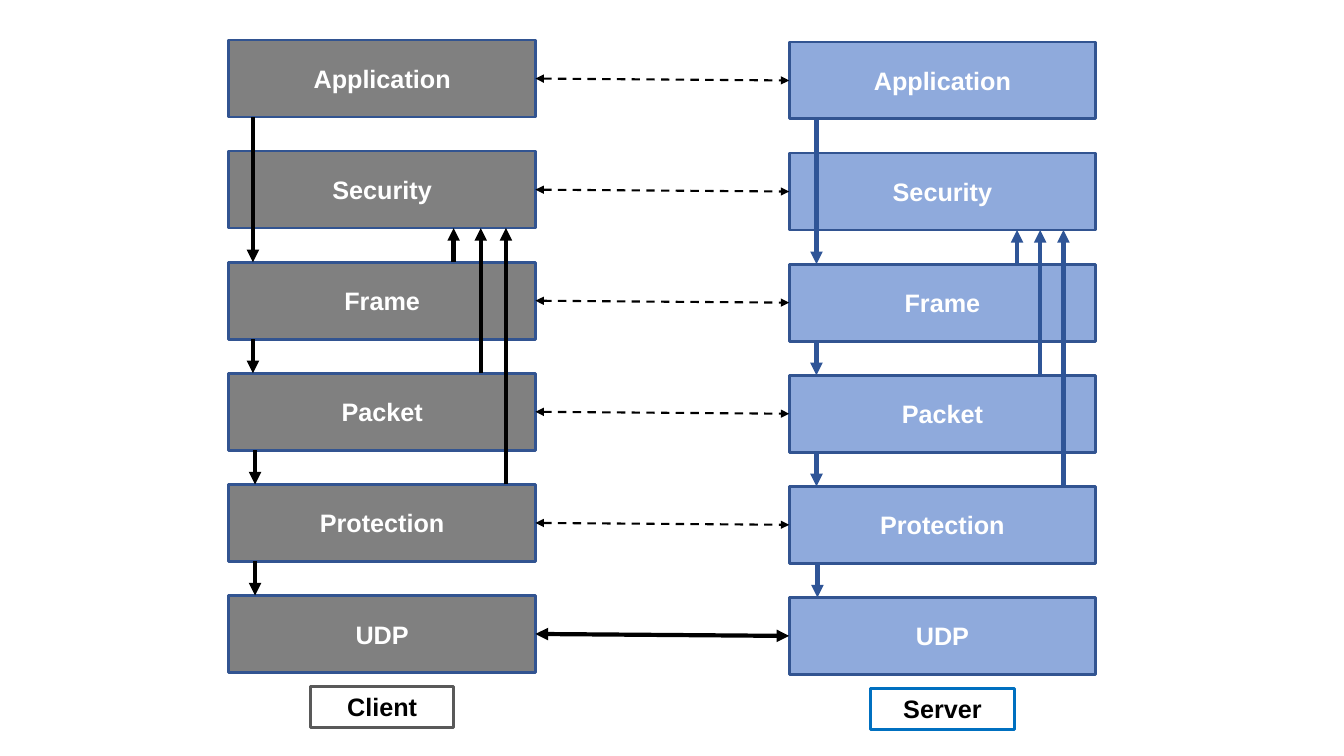
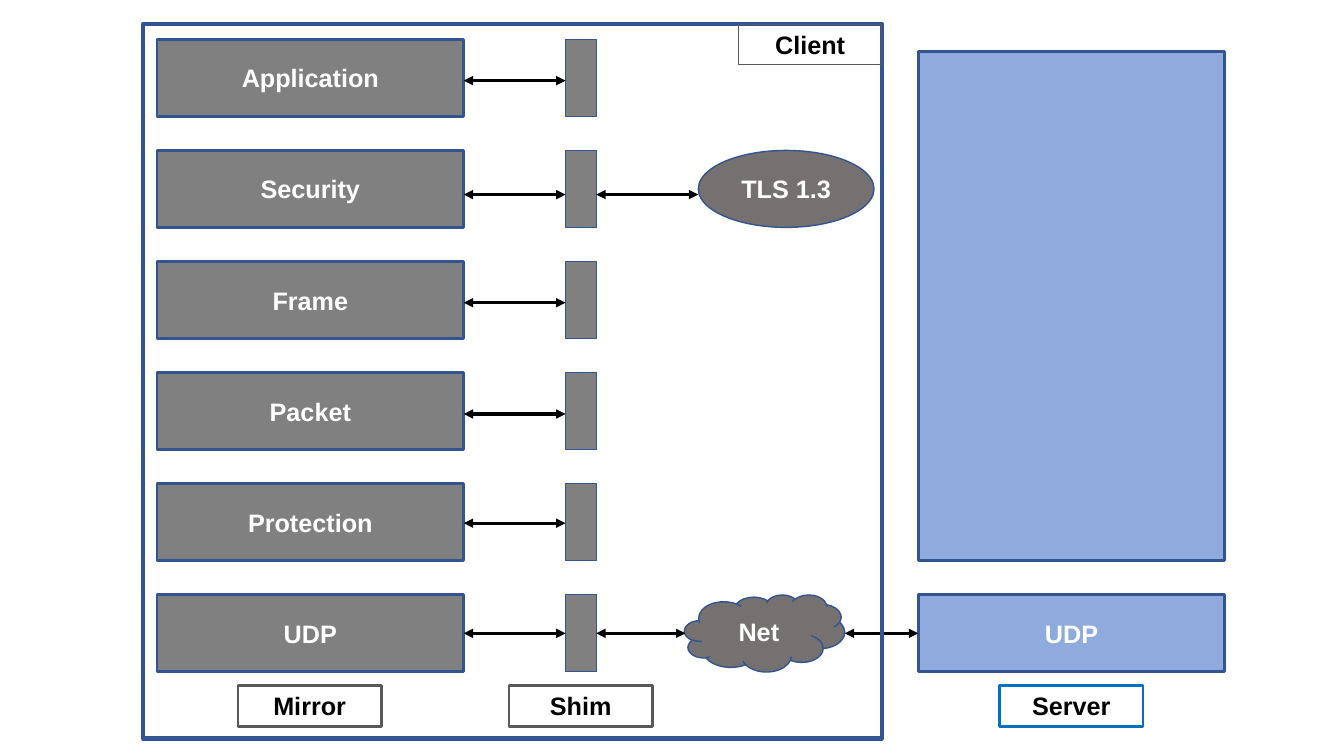
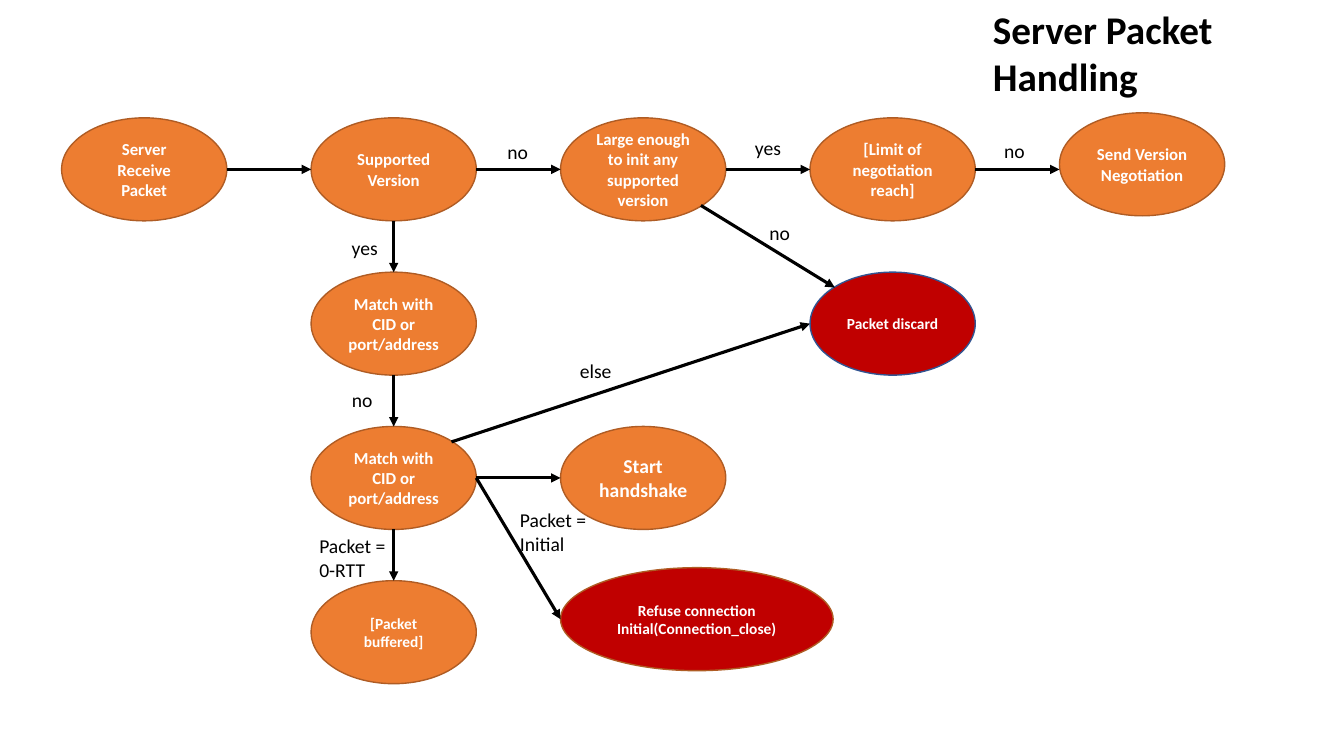
"""Build three protocol diagrams: peer layers, a layered client and server packet handling."""
import pptx
import pptx.dml.color
import pptx.enum.dml
import pptx.enum.shapes
import pptx.enum.text
import pptx.oxml.ns
import pptx.oxml.xmlchemy
import pptx.util

Pt = pptx.util.Pt
SHAPES = pptx.enum.shapes.MSO_SHAPE
ALIGN = pptx.enum.text.PP_ALIGN
ANCHOR = pptx.enum.text.MSO_ANCHOR

COLORS = {
    "black": "000000", "white": "FFFFFF", "gray": "808080", "dark_gray": "767171",
    "label_gray": "595959", "light_blue": "8FAADC", "border_blue": "325491",
    "arrow_blue": "2F5597", "label_blue": "0070C0", "orange": "ED7D31",
    "brown": "AF5C24", "red": "C00000",
}

LAYERS = ["Application", "Security", "Frame", "Packet", "Protection", "UDP"]
LAYER_WIDTH, LAYER_HEIGHT, LAYER_PITCH = 219, 55, 79.35
LABEL_WIDTH, LABEL_HEIGHT = 102.5, 29.1

FLOWS = [(0, 2), (2, 3), (3, 4), (4, 5), (4, 1), (3, 1), (2, 1)]
PEERS = [
    {"name": "Client", "left": 163.5, "top": 28.6, "fill": "gray",
     "arrow": "black", "label": "label_gray",
     "flow_x": [180.7, 180.7, 182.2, 182.2, 361.4, 343.4, 324]},
    {"name": "Server", "left": 563.7, "top": 30, "fill": "light_blue",
     "arrow": "arrow_blue", "label": "label_blue",
     "flow_x": [583.2, 583.2, 583.2, 583.9, 759.6, 743, 726.5]},
]

STACK_LEFT, STACK_TOP = 112.2, 28.1
SHIM_LEFT, SHIM_WIDTH = 404, 21.9
SERVER_LEFT, SERVER_TOP = 655.9, 36.7
SHIM_ARROW_Y = [57.6, 139, 216.2, 295.7, 373.7, 452.4]
STACK_LABELS = [("Mirror", 170, "label_gray"), ("Shim", 363.6, "label_gray"),
                ("Server", 714, "label_blue")]

TITLE = "Server Packet Handling"
NODE_LEFT, NODE_TOP, NODE_WIDTH, NODE_HEIGHT = 44, 84.2, 118, 73.6
COLUMN_PITCH, ROW_PITCH = 178.2, 110.2
NODES = {
    "receive": ("Server Receive Packet", 0, 0, 12),
    "version": ("Supported Version", 1, 0, 12),
    "large": ("Large enough to init any supported version", 2, 0, 12),
    "limit": ("[Limit of negotiation reach]", 3, 0, 12),
    "send": ("Send Version Negotiation", 4, 0, 12),
    "match": ("Match with CID or port/address", 1, 1, 12),
    "discard": ("Packet discard", 3, 1, 11),
    "rematch": ("Match with CID or port/address", 1, 2, 12),
    "start": ("Start handshake", 2, 2, 14),
    "buffer": ("[Packet buffered]", 1, 3, 11),
    "refuse": ("Refuse connection Initial(Connection_close)", 2, 3, 11),
}
NODE_STYLES = {"discard": ("red", "border_blue"), "refuse": ("red", "brown")}
NODE_SHIFTS = {"send": -3.6, "refuse": -9.3}
NODE_WIDTHS = {"refuse": 194.7}
SITES = {"top": (0.5, 0), "bottom": (0.5, 1), "left": (0, 0.5), "right": (1, 0.5),
         "top left": (0.15, 0.15), "top right": (0.85, 0.15), "bottom right": (0.85, 0.85)}
EDGES = [
    ("receive", "right", "version", "left"), ("version", "right", "large", "left"),
    ("large", "right", "limit", "left"), ("limit", "right", "send", "left"),
    ("large", "bottom right", "discard", "top left"),
    ("version", "bottom", "match", "top"), ("match", "bottom", "rematch", "top"),
    ("rematch", "bottom", "buffer", "top"), ("rematch", "right", "start", "left"),
    ("rematch", "right", "refuse", "left"), ("rematch", "top right", "discard", "left"),
]
EDGE_LABELS = [
    ("no", 355, 96.5, 29.5), ("yes", 532.1, 93.4, 33.1), ("no", 542.2, 154.2, 29.5),
    ("no", 709.9, 95.6, 29.5), ("yes", 244, 165.1, 33.1), ("no", 244, 273.6, 29.5),
    ("else", 406.8, 252.7, 37.4),
    ("Packet =\nInitial", 364.3, 359.3, 67), ("Packet =\n0-RTT", 221, 378, 67),
]


def rgb(name):
    """Return a named colour."""
    return pptx.dml.color.RGBColor.from_string(COLORS[name])


def write(frame, text, font, size, color, bold=True, align=ALIGN.CENTER):
    """Fill a text frame and format its runs."""
    frame.text = text
    for para in frame.paragraphs:
        para.alignment = align
        for span in para.runs:
            span.font.name = font
            span.font.size = Pt(size)
            span.font.bold = bold
            span.font.color.rgb = rgb(color)


def add_box(page, kind, place, fill, line, weight, text="", font="Arial", size=18, color="white"):
    """Add an outlined shape, filled and labelled on request."""
    box = page.shapes.add_shape(kind, *map(Pt, place))
    box.shadow.inherit = False
    if fill:
        box.fill.solid()
        box.fill.fore_color.rgb = rgb(fill)
    else:
        box.fill.background()
    box.line.color.rgb = rgb(line)
    box.line.width = Pt(weight)
    if text:
        write(box.text_frame, text, font, size, color)


def add_label(page, text, left, top, line, weight=2):
    """Add a framed caption."""
    place = (left, top, LABEL_WIDTH, LABEL_HEIGHT)
    add_box(page, SHAPES.RECTANGLE, place, None, line, weight, text, color="black")


def add_arrow(page, start, end, weight, color="black", both=False, dashed=False):
    """Add a straight arrow with one or two heads."""
    arrow = page.shapes.add_connector(
        pptx.enum.shapes.MSO_CONNECTOR.STRAIGHT, *map(Pt, start + end))
    arrow.line.color.rgb = rgb(color)
    arrow.line.width = Pt(weight)
    if dashed:
        arrow.line.dash_style = pptx.enum.dml.MSO_LINE.DASH
    properties = arrow._element.spPr
    outline = properties.find(pptx.oxml.ns.qn("a:ln"))
    for tag in ["a:headEnd", "a:tailEnd"] if both else ["a:tailEnd"]:
        tip = pptx.oxml.xmlchemy.OxmlElement(tag)
        tip.set("type", "triangle")
        outline.append(tip)
    properties.append(pptx.oxml.xmlchemy.OxmlElement("a:effectLst"))


def layer_y(top, index):
    """Return the top of a layer in a stack."""
    return top + index * LAYER_PITCH


def add_stack(page, left, top, fill):
    """Add the named layers of one peer."""
    for index, name in enumerate(LAYERS):
        place = (left, layer_y(top, index), LAYER_WIDTH, LAYER_HEIGHT)
        add_box(page, SHAPES.RECTANGLE, place, fill, "border_blue", 2, name)


def build_peers(page):
    """Draw two peers whose layers talk to each other."""
    for peer in PEERS:
        add_stack(page, peer["left"], peer["top"], peer["fill"])
        add_label(page, peer["name"], peer["left"] + (LAYER_WIDTH - LABEL_WIDTH) / 2,
                  peer["top"] + 461.7, peer["label"])
    for peer in PEERS:
        for (source, target), x in zip(FLOWS, peer["flow_x"]):
            start, end = layer_y(peer["top"], source), layer_y(peer["top"], target)
            if source < target:
                start += LAYER_HEIGHT
            else:
                end += LAYER_HEIGHT
            add_arrow(page, (x, start), (x, end), 3, peer["arrow"])
    client, server = PEERS
    for index, name in enumerate(LAYERS):
        start_y, end_y = [layer_y(peer["top"], index) + LAYER_HEIGHT / 2 for peer in PEERS]
        wire = name == "UDP"
        add_arrow(page, (client["left"] + LAYER_WIDTH, start_y), (server["left"], end_y),
                  3 if wire else 1.5, both=True, dashed=not wire)


def build_client(page):
    """Draw the client with its shims next to an opaque server."""
    add_stack(page, STACK_LEFT, STACK_TOP, "gray")
    for index in range(len(LAYERS)):
        place = (SHIM_LEFT, layer_y(STACK_TOP, index), SHIM_WIDTH, LAYER_HEIGHT)
        add_box(page, SHAPES.RECTANGLE, place, "gray", "border_blue", 1)
    security_y, udp_y = layer_y(STACK_TOP, 1), layer_y(STACK_TOP, 5)
    add_box(page, SHAPES.RECTANGLE, (SERVER_LEFT, udp_y, LAYER_WIDTH, LAYER_HEIGHT),
            "light_blue", "border_blue", 2, "UDP")
    add_box(page, SHAPES.RECTANGLE, (SERVER_LEFT, SERVER_TOP, LAYER_WIDTH, 363.6),
            "light_blue", "border_blue", 2)
    add_box(page, SHAPES.OVAL, (498.8, security_y, 125.5, LAYER_HEIGHT),
            "dark_gray", "border_blue", 1, "TLS 1.3")
    add_box(page, SHAPES.CLOUD, (488.9, udp_y, 114.5, LAYER_HEIGHT),
            "dark_gray", "border_blue", 1, "Net")
    shim_right = SHIM_LEFT + SHIM_WIDTH
    spans = [(STACK_LEFT + LAYER_WIDTH, SHIM_LEFT, y) for y in SHIM_ARROW_Y]
    spans += [(shim_right, 498.8, SHIM_ARROW_Y[1]), (shim_right, 489.6, SHIM_ARROW_Y[5]),
              (603.4, SERVER_LEFT, SHIM_ARROW_Y[5])]
    for start, end, y in spans:
        add_arrow(page, (start, y), (end, y), 2.25, both=True)
    for text, left, line in STACK_LABELS:
        add_label(page, text, left, 489.6, line)
    add_box(page, SHAPES.RECTANGLE, (102.2, 17.1, 527.8, 510.5), None, "border_blue", 3)
    add_label(page, "Client", 527.5, 17.3, "label_gray", 0.75)


def build_handling(page):
    """Draw the decision flow for a packet that reaches the server."""
    title = page.shapes.title
    title.left, title.top, title.width, title.height = map(Pt, (702, 0, 258, 75))
    title.text_frame.auto_size = pptx.enum.text.MSO_AUTO_SIZE.NONE
    title.text_frame.vertical_anchor = ANCHOR.TOP
    write(title.text_frame, TITLE, "Calibri", 28, "black", align=ALIGN.LEFT)
    places = {}
    for key, (text, column, row, size) in NODES.items():
        places[key] = (NODE_LEFT + column * COLUMN_PITCH,
                       NODE_TOP + row * ROW_PITCH + NODE_SHIFTS.get(key, 0),
                       NODE_WIDTHS.get(key, NODE_WIDTH), NODE_HEIGHT)
        fill, line = NODE_STYLES.get(key, ("orange", "brown"))
        add_box(page, SHAPES.OVAL, places[key], fill, line, 1, text, "Calibri", size)
    for source, source_site, target, target_site in EDGES:
        ends = []
        for key, site in [(source, source_site), (target, target_site)]:
            left, top, width, height = places[key]
            across, down = SITES[site]
            ends.append((left + across * width, top + down * height))
        start, end = ends
        if NODES[source][2] == NODES[target][2]:
            end = (end[0], start[1])
        add_arrow(page, start, end, 2.25)
    for text, left, top, width in EDGE_LABELS:
        lines = text.count("\n") + 1
        box = page.shapes.add_textbox(*map(Pt, (left, top, width, 7.2 + 17 * lines)))
        box.text_frame.word_wrap = lines > 1
        write(box.text_frame, text, "Calibri", 14, "black", False,
              ALIGN.LEFT if lines > 1 else ALIGN.CENTER)


def main():
    """Build and save the deck."""
    deck = pptx.Presentation()
    deck.slide_width, deck.slide_height = Pt(960), Pt(540)
    for layout, build in [(6, build_peers), (6, build_client), (5, build_handling)]:
        build(deck.slides.add_slide(deck.slide_layouts[layout]))
    deck.save("out.pptx")


if __name__ == "__main__":
    main()
